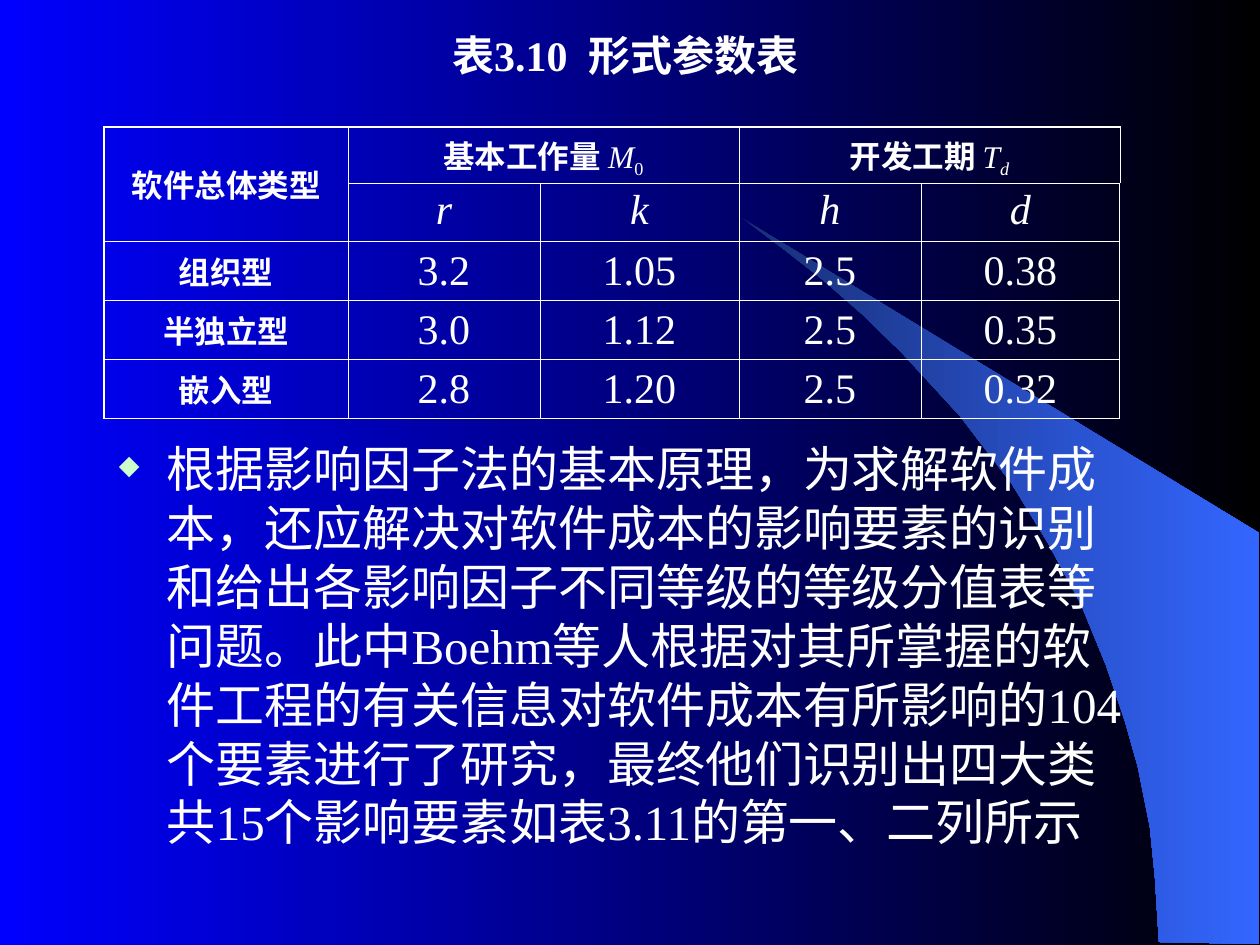
from dataclasses import dataclass

from lxml import etree
from pptx import Presentation
from pptx.dml.color import RGBColor
from pptx.enum.text import MSO_ANCHOR, PP_ALIGN
from pptx.oxml.ns import qn
from pptx.util import Emu, Pt

MID = MSO_ANCHOR.MIDDLE
TOP = MSO_ANCHOR.TOP
LEFT = PP_ALIGN.LEFT
CENTER = PP_ALIGN.CENTER

SCALE = 914400 / 126
FONT = "Times New Roman"
HUES = {
    "text": "FFFFFF", "mark": "CCFFCC",
    "sky": "0000FF", "night": "000000",
    "dim": "182F76", "glow": "3366FF",
}

BEAM = [
    (1159, 942), (1259, 944), (1259, 533), (742, 218), (786, 251), (823, 280),
    (863, 315), (902, 353), (960, 416), (1012, 484), (1048, 543), (1081, 604),
    (1106, 665), (1125, 721), (1138, 767), (1150, 827), (1155, 877),
]
COLS = [244, 192, 199, 182, 199]
ROWS = [53, 53, 58, 59, 58]
TITLE = "表3.10  形式参数表"
BODY = (
    "根据影响因子法的基本原理，为求解软件成本，还应解决对软件成本的影响要素的识别"
    "和给出各影响因子不同等级的等级分值表等问题。此中Boehm等人根据对其所掌握的软"
    "件工程的有关信息对软件成本有所影响的104个要素进行了研究，最终他们识别出四大类"
    "共15个影响要素如表3.11的第一、二列所示"
)


@dataclass
class Run:
    text: str
    size: int = 24
    bold: bool = False
    slant: bool = False
    base: int = 0


@dataclass
class Cell:
    row: int
    col: int
    runs: list[Run]
    before: float = 0
    lines: float = 1.0
    span: tuple[int, int] = (1, 1)


def px(n: int) -> Emu:
    return Emu(round(n * SCALE))


def rgb(name: str) -> RGBColor:
    return RGBColor.from_string(HUES[name])


def blend(fill, start: str, end: str) -> None:
    """Fill with a left-to-right gradient."""
    fill.gradient()
    fill.gradient_angle = 0
    for stop, name, place in zip(fill.gradient_stops, (start, end), (0, 1)):
        stop.color.rgb = rgb(name)
        stop.position = place


def add_mark(para, char: str, size: int) -> None:
    """Give a paragraph a hanging bullet."""
    props = para._p.get_or_add_pPr()
    props.set("marL", str(px(48)))
    props.set("indent", str(-px(48)))
    hue = etree.SubElement(props, qn("a:buClr"))
    etree.SubElement(hue, qn("a:srgbClr"), val=HUES["mark"])
    etree.SubElement(props, qn("a:buSzPct"), val=str(size * 1000))
    etree.SubElement(props, qn("a:buChar"), char=char)


def write(frame, runs: list[Run], *, align=CENTER, before: float = 0,
          lines: float = 1.0, mark: str = "") -> None:
    para = frame.paragraphs[0]
    if mark:
        add_mark(para, mark, 55)
    para.alignment = align
    para.space_before = Pt(before)
    para.line_spacing = lines
    for item in runs:
        run = para.add_run()
        run.text = item.text
        font = run.font
        font.name, font.size = FONT, Pt(item.size)
        font.bold, font.italic = item.bold, item.slant
        font.color.rgb = rgb("text")
        if item.base:
            font._element.set("baseline", str(item.base * 1000))


def add_text(slide, box: tuple[int, int, int, int], runs: list[Run], *,
             pad: tuple[int, int] = (0, 0), wrap: bool = True,
             anchor=TOP, **form) -> None:
    frame = slide.shapes.add_textbox(*map(px, box)).text_frame
    frame.word_wrap = wrap
    frame.vertical_anchor = anchor
    frame.margin_left = frame.margin_right = px(pad[0])
    frame.margin_top = frame.margin_bottom = px(pad[1])
    write(frame, runs, **form)


def add_beam(slide) -> None:
    pen = slide.shapes.build_freeform(*BEAM[0], scale=SCALE)
    pen.add_line_segments(BEAM[1:], close=True)
    beam = pen.convert_to_shape()
    beam.shadow.inherit = False
    beam.line.fill.background()
    blend(beam.fill, "dim", "glow")


def frame_cell(cell, row: int, col: int) -> None:
    """Draw cell borders, heavier on the table's outer edge."""
    props = cell._tc.get_or_add_tcPr()
    outer = {"L": col == 0, "R": col == len(COLS) - 1,
             "T": row == 0, "B": row == len(ROWS) - 1}
    for side, edge in outer.items():
        width = Pt(0.75 if edge else 0.45)
        line = etree.SubElement(props, qn(f"a:ln{side}"), w=str(width))
        fill = etree.SubElement(line, qn("a:solidFill"))
        etree.SubElement(fill, qn("a:srgbClr"), val=HUES["text"])
    cell.fill.background()


def list_cells() -> list[Cell]:
    cells = [Cell(0, 0, [Run("软件总体类型", 18, bold=True)], span=(2, 1))]
    heads = [(1, "基本工作量 ", "M", "0", False), (3, "开发工期 ", "T", "d", True)]
    for col, label, sign, sub, slant in heads:
        runs = [Run(label, 18, bold=True), Run(sign, 18, slant=True),
                Run(sub, 18, slant=slant, base=-25)]
        cells.append(Cell(0, col, runs, 4.5, 0.9, (1, 2)))
    for col, sign in enumerate("rkhd", 1):
        cells.append(Cell(1, col, [Run(sign, slant=True)], 6, 0.9))
    data = [
        ("组织型", "3.2", "1.05", "2.5", "0.38"),
        ("半独立型", "3.0", "1.12", "2.5", "0.35"),
        ("嵌入型", "2.8", "1.20", "2.5", "0.32"),
    ]
    for row, (kind, *values) in enumerate(data, 2):
        cells.append(Cell(row, 0, [Run(kind, 18, bold=True)]))
        cells += [Cell(row, col, [Run(value)]) for col, value in enumerate(values, 1)]
    return cells


def add_grid(slide) -> None:
    box = (104, 127, sum(COLS), sum(ROWS))
    grid = slide.shapes.add_table(len(ROWS), len(COLS), *map(px, box)).table
    grid.first_row = grid.horz_banding = False
    for col, width in zip(grid.columns, COLS):
        col.width = px(width)
    for row, height in zip(grid.rows, ROWS):
        row.height = px(height)
    for row in range(len(ROWS)):
        for col in range(len(COLS)):
            frame_cell(grid.cell(row, col), row, col)
    for item in list_cells():
        cell = grid.cell(item.row, item.col)
        down, across = item.span
        if item.span != (1, 1):
            cell.merge(grid.cell(item.row + down - 1, item.col + across - 1))
        cell.vertical_anchor = MID
        write(cell.text_frame, item.runs, before=item.before, lines=item.lines)


def main() -> None:
    deck = Presentation()
    deck.slide_width, deck.slide_height = px(1260), px(945)
    slide = deck.slides.add_slide(deck.slide_layouts[6])
    blend(slide.background.fill, "sky", "night")
    add_beam(slide)
    add_grid(slide)
    add_text(slide, (442, 30, 367, 50), [Run(TITLE, bold=True)],
             wrap=False, anchor=MID)
    add_text(slide, (94, 433, 1071, 489), [Run(BODY, 28)],
             pad=(25, 6), align=LEFT, before=0, mark="◆")
    deck.save("out.pptx")


if __name__ == "__main__":
    main()
